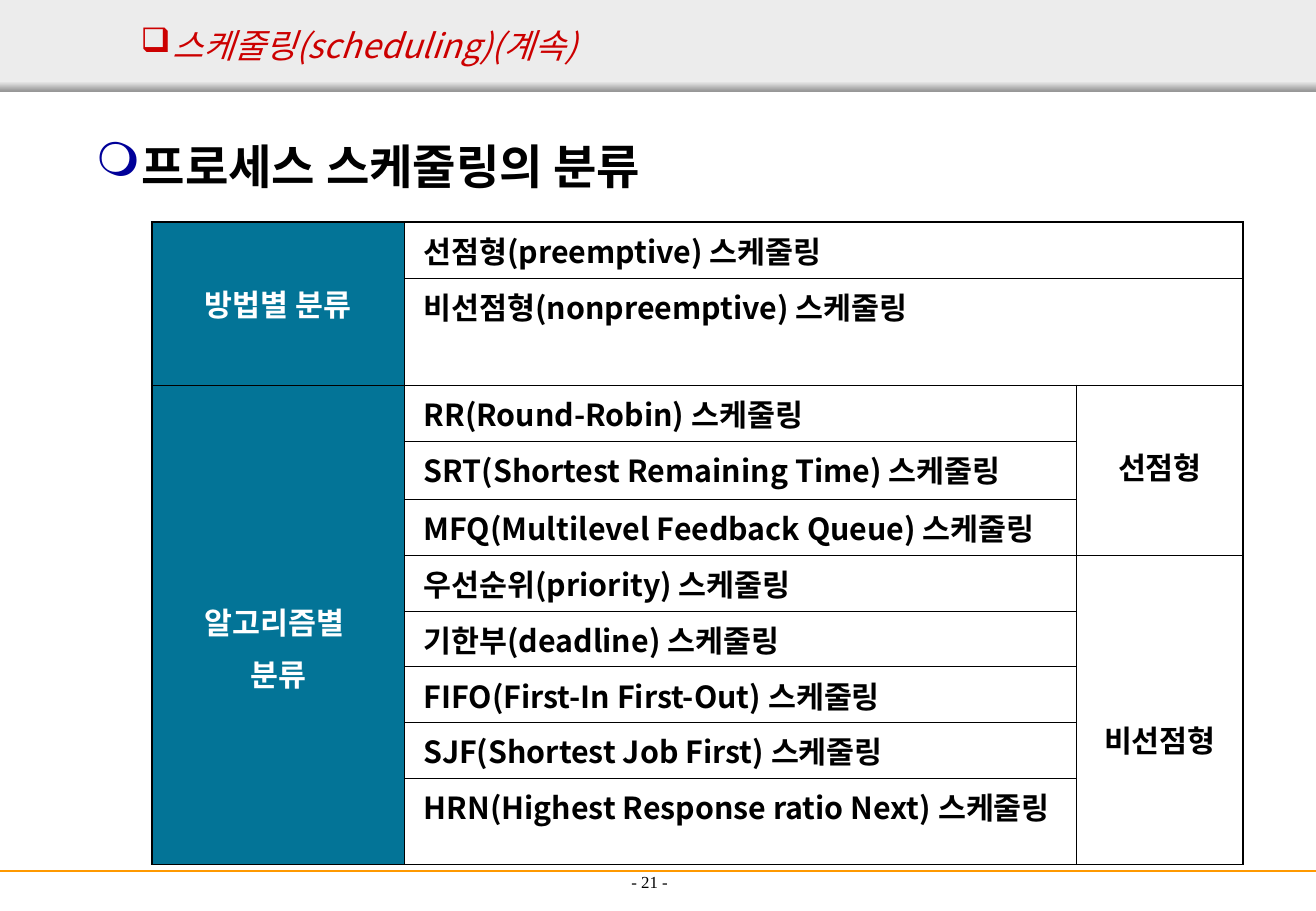
from dataclasses import dataclass

from lxml import etree
from pptx import Presentation
from pptx.dml.color import RGBColor
from pptx.enum.shapes import MSO_CONNECTOR, MSO_SHAPE
from pptx.enum.text import MSO_ANCHOR, PP_ALIGN
from pptx.oxml.ns import qn
from pptx.util import Inches, Pt

LEFT, CENTER = PP_ALIGN.LEFT, PP_ALIGN.CENTER
TOP, MIDDLE, BOTTOM = MSO_ANCHOR.TOP, MSO_ANCHOR.MIDDLE, MSO_ANCHOR.BOTTOM
RECT, STRAIGHT = MSO_SHAPE.RECTANGLE, MSO_CONNECTOR.STRAIGHT

SANS, SERIF = "Noto Sans CJK KR", "Times New Roman"
BLACK, WHITE, RED, NAVY = "000000", "FFFFFF", "CC0000", "000099"
TEAL, GRAY, DARK_GRAY, ORANGE = "037497", "ECECEC", "979797", "FF9900"
OUTER, INNER = 1.08, 0.45
NO_STYLE = "{2D5ABB26-0587-4C30-8999-92F81FD0307C}"
WIDTH = 10.84
COLS = [2.08, 5.54, 1.37]
ROWS = [0.46, 0.88, 0.46, 0.48, 0.46, 0.46, 0.46, 0.46, 0.46, 0.71]


@dataclass
class Entry:
    row: int
    col: int
    text: str
    rows: int = 1
    cols: int = 1
    fill: str = WHITE
    color: str = BLACK
    align: PP_ALIGN = CENTER
    anchor: MSO_ANCHOR = MIDDLE
    left: float = 0.1
    top: float = 0.05
    bottom: float = 0.05


@dataclass
class Caption:
    text: str
    box: tuple[float, float, float, float]
    size: float
    color: str = BLACK
    font: str = SANS
    bold: bool = False
    italic: bool = False
    align: PP_ALIGN = LEFT
    anchor: MSO_ANCHOR = TOP
    bullet: str = ""
    bullet_color: str = BLACK
    indent: float = 0
    hang: float = 0


METHODS = ["선점형(preemptive) 스케줄링", "비선점형(nonpreemptive) 스케줄링"]
ALGORITHMS = [
    "RR(Round-Robin) 스케줄링",
    "SRT(Shortest Remaining Time) 스케줄링",
    "MFQ(Multilevel Feedback Queue) 스케줄링",
    "우선순위(priority) 스케줄링",
    "기한부(deadline) 스케줄링",
    "FIFO(First-In First-Out) 스케줄링",
    "SJF(Shortest Job First) 스케줄링",
    "HRN(Highest Response ratio Next) 스케줄링",
]
ENTRIES = [
    Entry(0, 0, "방법별 분류", rows=2, fill=TEAL, color=WHITE),
    Entry(2, 0, "알고리즘별 \n분류", rows=8, fill=TEAL, color=WHITE, top=0.42),
    Entry(2, 2, "선점형", rows=3, bottom=0.12),
    Entry(5, 2, "비선점형", rows=5, top=0.53),
] + [
    Entry(i, 1, text, cols=2 if i < len(METHODS) else 1, align=LEFT, anchor=TOP, left=0.16)
    for i, text in enumerate(METHODS + ALGORITHMS)
]
CAPTIONS = [
    Caption("- 21 -", (3.69, 6.89, 3.32, 0.5), 10, font=SERIF, align=CENTER, anchor=BOTTOM),
    Caption("스케줄링(scheduling)(계속)", (0.54, 0.14, 9.75, 0.46), 20, color=RED, italic=True,
            anchor=MIDDLE, bullet="❑", bullet_color=RED, indent=0.78, hang=0.26),
    Caption("프로세스 스케줄링의 분류", (0.69, 1.08, 9.45, 5.47), 28, bold=True,
            bullet="❍", bullet_color=NAVY, indent=0.38, hang=0.38),
]


def rgb(value: str) -> RGBColor:
    return RGBColor.from_string(value)


def write(tf, text: str, *, size: float, color: str = BLACK, font: str = SANS,
          bold: bool = False, italic: bool = False, align: PP_ALIGN = LEFT) -> None:
    for i, line in enumerate(text.split("\n")):
        p = tf.add_paragraph() if i else tf.paragraphs[0]
        p.alignment = align
        if i:
            p.space_before = Pt(4.5)
        r = p.add_run()
        r.text = line
        r.font.size = Pt(size)
        r.font.bold = bold
        r.font.italic = italic
        r.font.color.rgb = rgb(color)
        r.font.name = font
        etree.SubElement(r.font._element, qn("a:ea"), typeface=font)


def set_bullet(p, char: str, color: str, indent: float, hang: float) -> None:
    pPr = p._p.get_or_add_pPr()
    pPr.set("marL", str(Inches(indent)))
    pPr.set("indent", str(-Inches(hang)))
    clr = etree.SubElement(pPr, qn("a:buClr"))
    etree.SubElement(clr, qn("a:srgbClr"), val=color)
    etree.SubElement(pPr, qn("a:buChar"), char=char)


def add_caption(slide, c: Caption) -> None:
    tf = slide.shapes.add_textbox(*map(Inches, c.box)).text_frame
    tf.word_wrap = True
    tf.vertical_anchor = c.anchor
    if c.bullet:
        set_bullet(tf.paragraphs[0], c.bullet, c.bullet_color, c.indent, c.hang)
    write(tf, c.text, size=c.size, color=c.color, font=c.font, bold=c.bold,
          italic=c.italic, align=c.align)


def add_band(slide, top: float, height: float, color: str, end: str = "") -> None:
    sp = slide.shapes.add_shape(RECT, 0, Inches(top), Inches(WIDTH), Inches(height))
    sp.shadow.inherit = False
    sp.line.fill.background()
    if end:
        sp.fill.gradient()
        sp.fill.gradient_angle = 270
        for stop, value in zip(sp.fill.gradient_stops, (color, end)):
            stop.color.rgb = rgb(value)
    else:
        sp.fill.solid()
        sp.fill.fore_color.rgb = rgb(color)


def add_rule(slide, y: float) -> None:
    line = slide.shapes.add_connector(STRAIGHT, 0, Inches(y), Inches(WIDTH), Inches(y))
    line.line.color.rgb = rgb(ORANGE)
    line.line.width = Pt(1.5)
    etree.SubElement(line._element.spPr, qn("a:effectLst"))


def set_borders(cell, e: Entry) -> None:
    tcPr = cell._tc.get_or_add_tcPr()
    on_edge = {
        "lnL": e.col == 0,
        "lnR": e.col + e.cols == len(COLS),
        "lnT": e.row == 0,
        "lnB": e.row + e.rows == len(ROWS),
    }
    for i, (tag, outer) in enumerate(on_edge.items()):
        ln = etree.Element(qn(f"a:{tag}"), w=str(Pt(OUTER if outer else INNER)))
        fill = etree.SubElement(ln, qn("a:solidFill"))
        etree.SubElement(fill, qn("a:srgbClr"), val=BLACK)
        tcPr.insert(i, ln)


def fill_cell(table, e: Entry) -> None:
    cell = table.cell(e.row, e.col)
    if e.rows * e.cols > 1:
        cell.merge(table.cell(e.row + e.rows - 1, e.col + e.cols - 1))
    cell.fill.solid()
    cell.fill.fore_color.rgb = rgb(e.fill)
    cell.vertical_anchor = e.anchor
    cell.margin_left = Inches(e.left)
    cell.margin_right = Inches(0.1)
    cell.margin_top = Inches(e.top)
    cell.margin_bottom = Inches(e.bottom)
    set_borders(cell, e)
    write(cell.text_frame, e.text, size=18, color=e.color, bold=True, align=e.align)


def add_classification(slide) -> None:
    frame = slide.shapes.add_table(len(ROWS), len(COLS), Inches(1.25), Inches(1.83),
                                   Inches(sum(COLS)), Inches(sum(ROWS)))
    table = frame.table
    table.first_row = table.horz_banding = False
    table._tbl.tblPr.find(qn("a:tableStyleId")).text = NO_STYLE
    for column, width in zip(table.columns, COLS):
        column.width = Inches(width)
    for row, height in zip(table.rows, ROWS):
        row.height = Inches(height)
    for e in ENTRIES:
        fill_cell(table, e)


def main() -> None:
    prs = Presentation()
    prs.slide_width, prs.slide_height = Inches(WIDTH), Inches(7.5)
    slide = prs.slides.add_slide(prs.slide_layouts[6])
    add_band(slide, 0, 0.75, GRAY)
    add_band(slide, 0.67, 0.08, GRAY, DARK_GRAY)
    add_rule(slide, 7.17)
    for caption in CAPTIONS:
        add_caption(slide, caption)
    add_classification(slide)
    prs.save("out.pptx")


if __name__ == "__main__":
    main()
